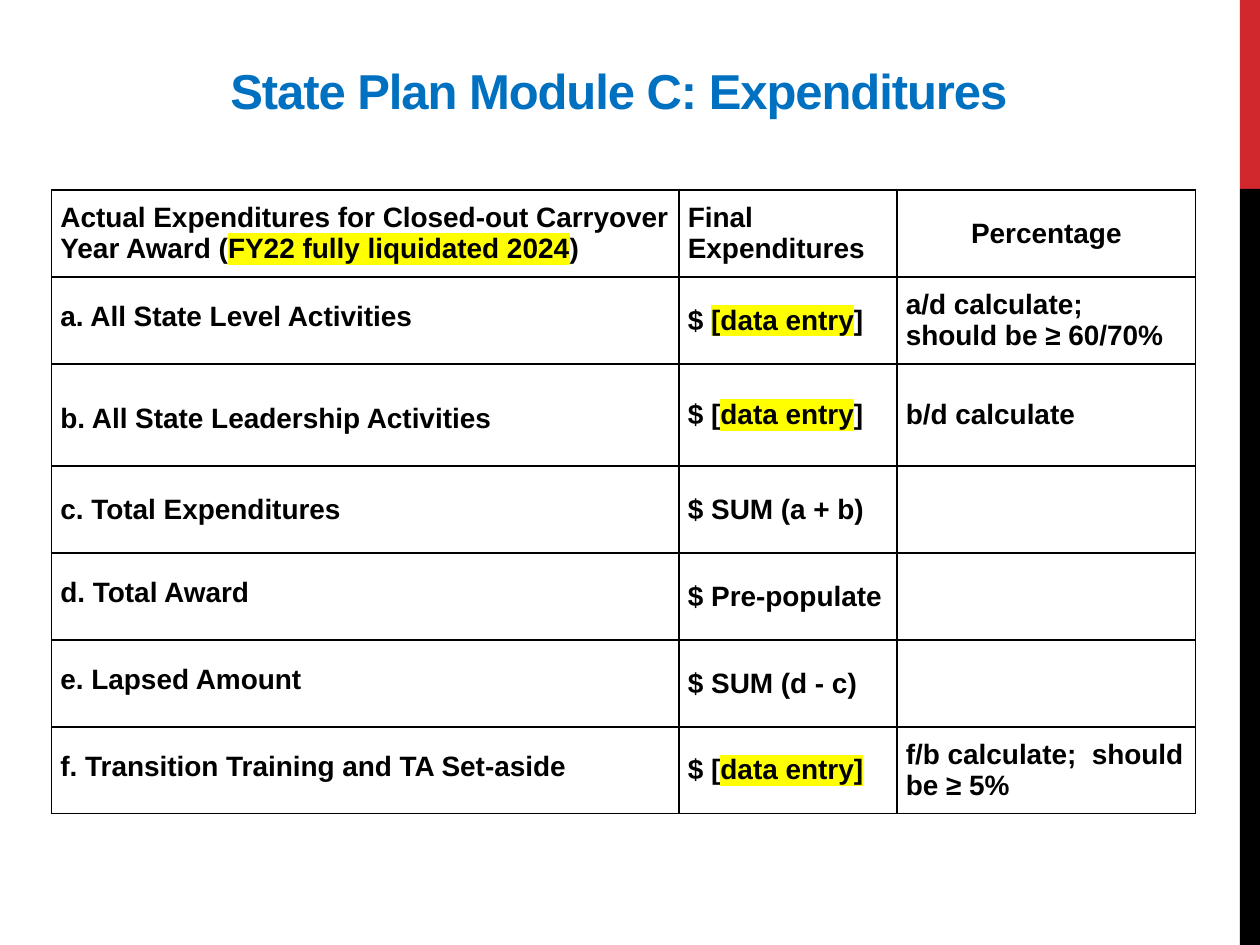
from lxml import etree
from pptx import Presentation
from pptx.dml.color import RGBColor
from pptx.enum.shapes import MSO_SHAPE
from pptx.enum.text import MSO_ANCHOR, PP_ALIGN
from pptx.oxml.ns import qn
from pptx.util import Inches, Pt

RED = RGBColor(0xD1, 0x28, 0x2E)
BLACK = RGBColor(0, 0, 0)
BLUE = RGBColor(0x00, 0x70, 0xC0)
YELLOW = RGBColor(0xFF, 0xFF, 0x00)
RECT = MSO_SHAPE.RECTANGLE
MIDDLE, BOTTOM = MSO_ANCHOR.MIDDLE, MSO_ANCHOR.BOTTOM
LEFT, CENTER = PP_ALIGN.LEFT, PP_ALIGN.CENTER

COL_WIDTHS = [4.98, 1.73, 2.37]
ROW_HEIGHTS = [0.69, 0.69, 0.81, 0.69, 0.69, 0.69, 0.69]
RAISED_ROWS = {1, 2, 4, 5, 6}  # row labels that sit one line above the cell bottom

# Text between bars is highlighted.
ROWS = [
    ["Actual Expenditures for Closed-out Carryover Year Award "
     "(|FY22 fully liquidated 2024|)", "Final Expenditures", "Percentage"],
    ["a. All State Level Activities", "$ |[data entry|]",
     "a/d calculate;  should be ≥ 60/70%"],
    ["b. All State Leadership Activities", "$ [|data entry|]", "b/d calculate"],
    ["c. Total Expenditures", "$ SUM (a + b)", ""],
    ["d. Total Award", "$ Pre-populate", ""],
    ["e. Lapsed Amount", "$ SUM (d - c)", ""],
    ["f. Transition Training and TA Set-aside", "$ [|data entry]|",
     "f/b calculate;  should be ≥ 5%"],
]


class SlideBuilder:
    font = "Arial"
    border = Pt(1)

    def __init__(self, slide):
        self.slide = slide

    def bar(self, x, y, w, h, color):
        sp = self.slide.shapes.add_shape(RECT, Inches(x), Inches(y), Inches(w), Inches(h))
        sp.shadow.inherit = False
        sp.fill.solid()
        sp.fill.fore_color.rgb = color
        sp.line.fill.background()

    def run(self, p, text, size, color, highlight=None):
        r = p.add_run()
        r.text = text
        r.font.color.rgb = color
        for name, value in {"name": self.font, "size": Pt(size), "bold": True}.items():
            setattr(r.font, name, value)
        rPr = r.font._element
        if highlight is not None:
            mark = etree.Element(qn("a:highlight"))
            etree.SubElement(mark, qn("a:srgbClr"), val=str(highlight))
            rPr.find(qn("a:solidFill")).addnext(mark)
        return rPr

    def title(self, x, y, w, h, text):
        sp = self.slide.shapes.add_textbox(Inches(x), Inches(y), Inches(w), Inches(h))
        tf = sp.text_frame
        tf.word_wrap = True
        tf.vertical_anchor = BOTTOM
        p = tf.paragraphs[0]
        for name, value in {"alignment": CENTER, "space_before": Pt(6),
                            "space_after": Pt(12)}.items():
            setattr(p, name, value)
        self.run(p, text, 28, BLUE).set("spc", "-60")

    def cell_borders(self, cell):
        tcPr = cell._tc.get_or_add_tcPr()
        for i, side in enumerate(("lnL", "lnR", "lnT", "lnB")):
            ln = etree.Element(qn(f"a:{side}"), w=str(self.border))
            fill = etree.SubElement(ln, qn("a:solidFill"))
            etree.SubElement(fill, qn("a:srgbClr"), val=str(BLACK))
            tcPr.insert(i, ln)

    def cell(self, cell, text, align=LEFT, raised=False):
        style = {"margin_left": Inches(0.07), "margin_right": Inches(0.07),
                 "margin_top": 0, "margin_bottom": Inches(0.25) if raised else 0,
                 "vertical_anchor": BOTTOM if raised else MIDDLE}
        for name, value in style.items():
            setattr(cell, name, value)
        cell.fill.background()
        self.cell_borders(cell)
        p = cell.text_frame.paragraphs[0]
        p.alignment = align
        for i, part in enumerate(text.split("|")):
            if part:
                self.run(p, part, 16, BLACK, YELLOW if i % 2 else None)

    def table(self, x, y, rows):
        frame = self.slide.shapes.add_table(
            len(ROW_HEIGHTS), len(COL_WIDTHS), Inches(x), Inches(y),
            Inches(sum(COL_WIDTHS)), Inches(sum(ROW_HEIGHTS)))
        tbl = frame.table
        for col, width in zip(tbl.columns, COL_WIDTHS):
            col.width = Inches(width)
        for row, height in zip(tbl.rows, ROW_HEIGHTS):
            row.height = Inches(height)
        for i, row in enumerate(rows):
            for j, text in enumerate(row):
                self.cell(tbl.cell(i, j), text,
                          align=CENTER if (i, j) == (0, 2) else LEFT,
                          raised=j == 0 and i in RAISED_ROWS)


def main():
    prs = Presentation()
    prs.slide_width, prs.slide_height = Inches(10), Inches(7.5)
    s = SlideBuilder(prs.slides.add_slide(prs.slide_layouts[6]))
    s.bar(9.84, 0, 0.16, 1.5, RED)
    s.bar(9.84, 1.5, 0.16, 6, BLACK)
    s.title(0.42, 0.35, 9.08, 0.65, "State Plan Module C: Expenditures ")
    s.table(0.41, 1.51, ROWS)
    prs.save("out.pptx")


if __name__ == "__main__":
    main()
